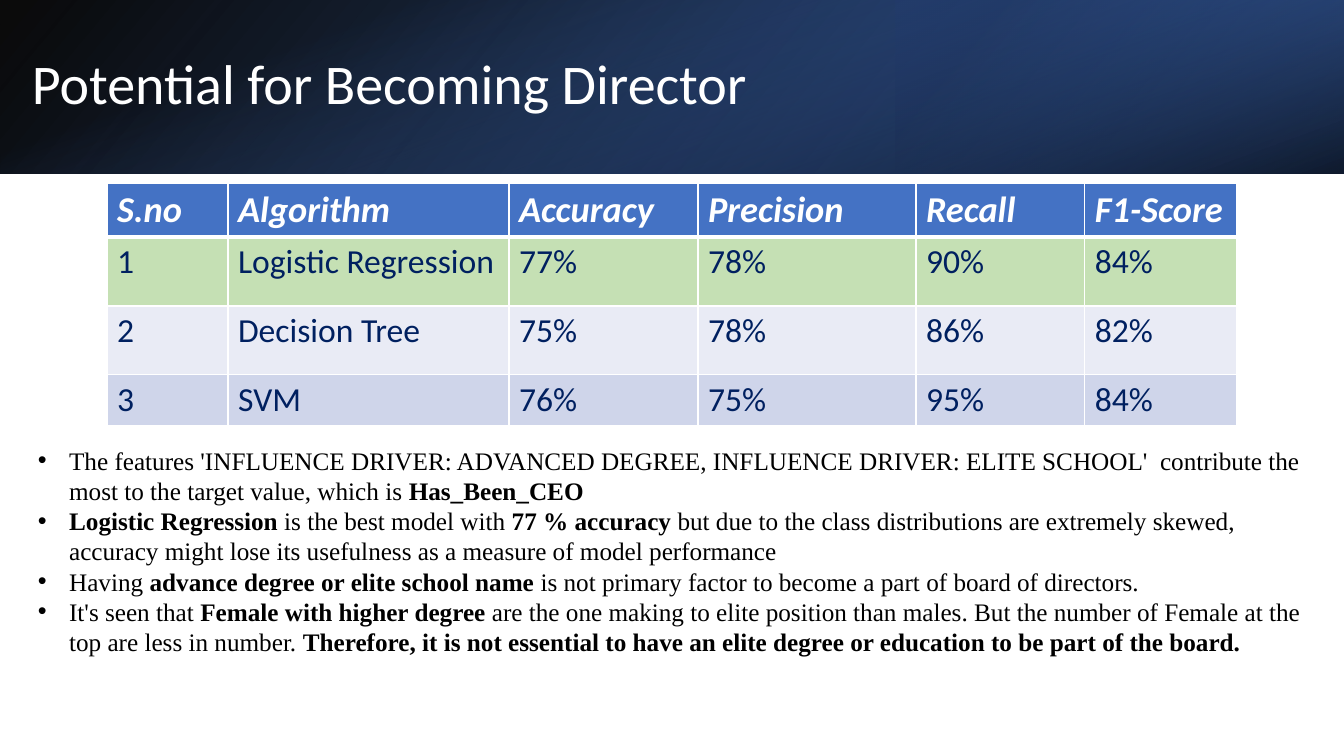
from lxml import etree
from pptx import Presentation
from pptx import util as u
from pptx.dml.color import RGBColor
from pptx.enum import shapes, text
from pptx.oxml import parse_xml
from pptx.oxml.ns import nsdecls, qn

PX = u.Inches(7.5) / 756
SLIDE_W, SLIDE_H, BANNER_H = 1344, 756, 174

WHITE = RGBColor(0xFF, 0xFF, 0xFF)
BLACK = RGBColor(0x00, 0x00, 0x00)
NAVY = RGBColor(0x00, 0x20, 0x60)
BLUE = RGBColor(0x44, 0x72, 0xC4)
DEEP_BLUE = RGBColor(0x2F, 0x55, 0x97)
DARK_BLUE = RGBColor(0x20, 0x38, 0x64)
GREEN = RGBColor(0xC5, 0xE0, 0xB4)
PALE_BAND = RGBColor(0xE9, 0xEB, 0xF5)
GREY_BAND = RGBColor(0xCF, 0xD5, 0xEA)

TITLE_FONT = {"name": "Calibri", "size": u.Pt(40)}
HEADER_FONT = {"name": "Calibri", "size": u.Pt(26), "bold": True, "italic": True}
BODY_FONT = {"name": "Calibri", "size": u.Pt(24), "bold": False}
FINDING_FONT = {"name": "Times New Roman", "size": u.Pt(18)}

COLUMNS = [121, 281, 189, 218, 169, 152]
ROWS = [54, 69, 69, 44]
ROW_FILLS = [BLUE, GREEN, PALE_BAND, GREY_BAND]
SCORES = [
    ["S.no", "Algorithm", "Accuracy", "Precision", "Recall", "F1-Score"],
    ["1", "Logistic Regression", "77%", "78%", "90%", "84%"],
    ["2", "Decision Tree", "75%", "78%", "86%", "82%"],
    ["3", "SVM", "76%", "75%", "95%", "84%"],
]
# Bold passages stand between double asterisks
FINDINGS = [
    "The features 'INFLUENCE DRIVER: ADVANCED DEGREE, INFLUENCE DRIVER: ELITE SCHOOL'  "
    "contribute the most to the target value, which is **Has_Been_CEO**",
    "**Logistic Regression** is the best model with** 77 % accuracy** but due to the class "
    "distributions are extremely skewed, accuracy might lose its usefulness as a measure "
    "of model performance",
    "Having **advance degree or elite school name **is not primary factor to become a part "
    "of board of directors.",
    "It's seen that **Female with higher degree** are the one making to elite position than "
    "males. But the number of Female at the top are less in number. **Therefore, it is not "
    "essential to have an elite degree or education to be part of the board.**",
]


def emu(*lengths):
    return [round(length * PX) for length in lengths]


def add_run(paragraph, words, color, font_values):
    run = paragraph.add_run()
    run.text = words
    for key, value in font_values.items():
        setattr(run.font, key, value)
    run.font.color.rgb = color


def add_gradient(slide, box, angle, stops, rotation=0, flip=False):
    """Stops are (position %, color, opacity %)."""
    layer = slide.shapes.add_shape(shapes.MSO_SHAPE.RECTANGLE, *emu(*box))
    layer.shadow.inherit = False
    layer.line.fill.background()
    layer.rotation = rotation
    properties = layer.element.spPr
    if flip:
        properties.find(qn("a:xfrm")).set("flipH", "1")
    stop_xml = "".join(
        f'<a:gs pos="{pos * 1000}"><a:srgbClr val="{color}">'
        f'<a:alpha val="{opacity * 1000}"/></a:srgbClr></a:gs>'
        for pos, color, opacity in stops)
    gradient = parse_xml(
        f'<a:gradFill {nsdecls("a")} rotWithShape="1"><a:gsLst>{stop_xml}</a:gsLst>'
        f'<a:lin ang="{angle * 60000}" scaled="0"/></a:gradFill>')
    properties.find(qn("a:prstGeom")).addnext(gradient)


def add_text_frame(slide, box, values):
    frame = slide.shapes.add_textbox(*emu(*box)).text_frame
    for key, value in values.items():
        setattr(frame, key, value)
    return frame


def add_title(slide, words, box):
    frame = add_text_frame(slide, box, {
        "word_wrap": True, "vertical_anchor": text.MSO_ANCHOR.MIDDLE})
    heading = frame.paragraphs[0]
    heading.line_spacing = 0.9
    add_run(heading, words, WHITE, TITLE_FONT)


def add_findings(slide, findings, box):
    frame = add_text_frame(slide, box, {
        "word_wrap": True, "auto_size": text.MSO_AUTO_SIZE.SHAPE_TO_FIT_TEXT})
    indent = u.Inches(0.31)
    for index, finding in enumerate(findings):
        point = frame.add_paragraph() if index else frame.paragraphs[0]
        properties = point._p.get_or_add_pPr()
        properties.set("marL", str(indent))
        properties.set("indent", str(-indent))
        etree.SubElement(properties, qn("a:buFont")).set("typeface", "Arial")
        etree.SubElement(properties, qn("a:buChar")).set("char", "•")
        for part, words in enumerate(finding.split("**")):
            if words:
                add_run(point, words, BLACK, {**FINDING_FONT, "bold": part % 2 == 1})


def set_borders(cell, widths):
    properties = cell._tc.get_or_add_tcPr()
    for index, (side, width) in enumerate(widths.items()):
        properties.insert(index, parse_xml(
            f'<a:ln{side} {nsdecls("a")} w="{u.Pt(width)}"><a:solidFill>'
            f'<a:srgbClr val="{WHITE}"/></a:solidFill></a:ln{side}>'))


def add_score_table(slide, left, top):
    box = emu(left, top, sum(COLUMNS), sum(ROWS))
    table = slide.shapes.add_table(len(ROWS), len(COLUMNS), *box).table
    for column, width in zip(table.columns, emu(*COLUMNS)):
        column.width = width
    for row, height in zip(table.rows, emu(*ROWS)):
        row.height = height
    for r, scores in enumerate(SCORES):
        color, font_values = (NAVY, BODY_FONT) if r else (WHITE, HEADER_FONT)
        for c, words in enumerate(scores):
            cell = table.cell(r, c)
            cell.fill.solid()
            cell.fill.fore_color.rgb = ROW_FILLS[r]
            add_run(cell.text_frame.paragraphs[0], words, color, font_values)
            set_borders(cell, {"L": 1, "R": 1, "T": 3 if r == 1 else 1,
                               "B": 1 if r else 3})


def main():
    deck = Presentation()
    deck.slide_width, deck.slide_height = emu(SLIDE_W, SLIDE_H)
    slide = deck.slides.add_slide(deck.slide_layouts[6])

    # Banner: three gradient layers, the last one turned on its side
    add_gradient(slide, (0, 0, SLIDE_W, BANNER_H), 140,
                 [(0, BLACK, 96), (100, DEEP_BLUE, 100)], flip=True)
    add_gradient(slide, (896, 0, 448, BANNER_H), 320,
                 [(19, DARK_BLUE, 68), (100, BLUE, 79)], rotation=180, flip=True)
    offset = (SLIDE_W - BANNER_H) // 2
    add_gradient(slide, (offset, -offset, BANNER_H, SLIDE_W), 340,
                 [(23, BLUE, 0), (99, BLACK, 74)], rotation=90)
    add_title(slide, "Potential for Becoming Director", (22, 38, 1236, 97))

    # Findings and model scores
    add_findings(slide, FINDINGS, (28, 440, 1297, 336))
    add_score_table(slide, 107, 183)

    deck.save("out.pptx")


if __name__ == "__main__":
    main()
